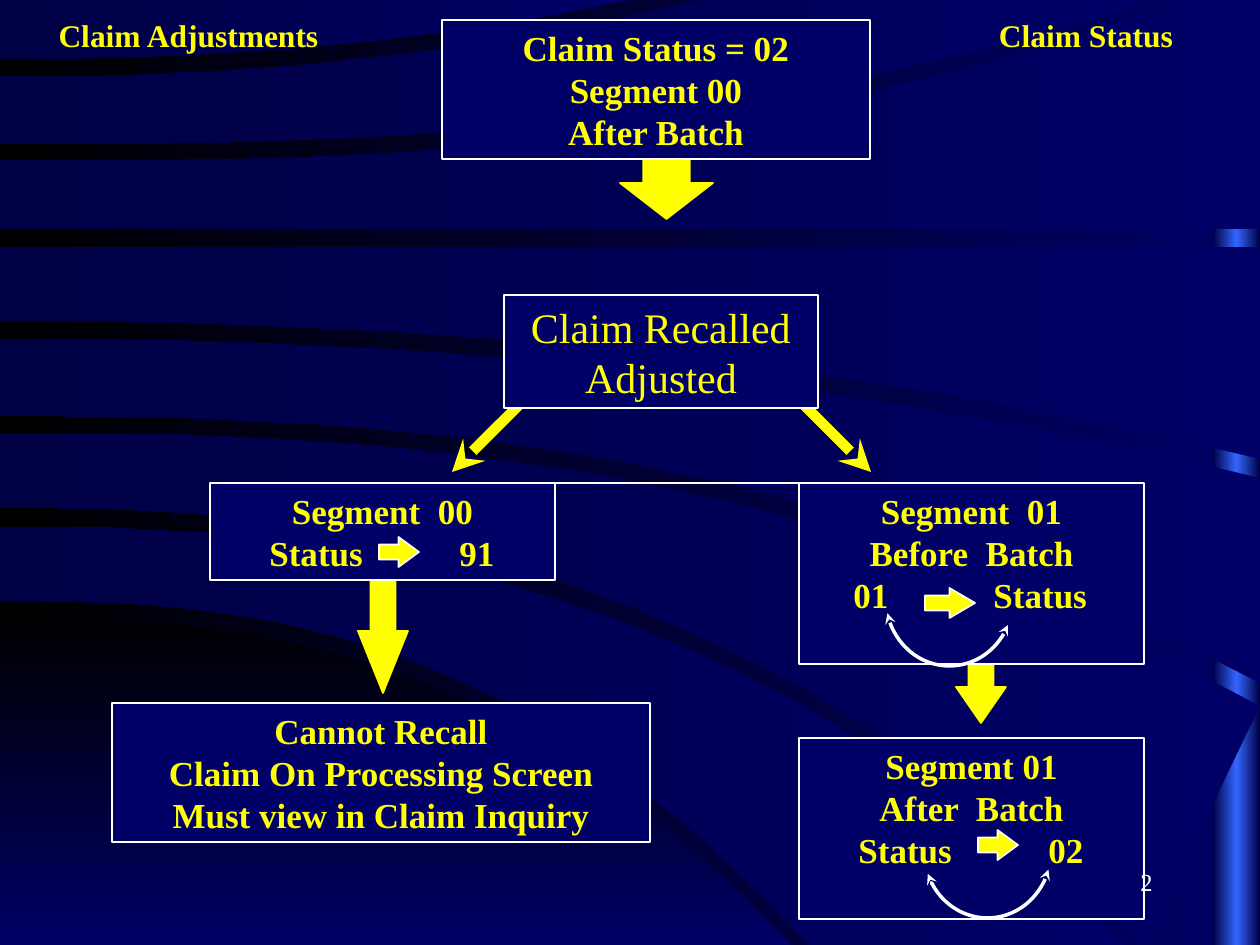
from copy import deepcopy
from dataclasses import dataclass

from lxml import etree
from pptx import Presentation
from pptx.dml.color import RGBColor
from pptx.enum.shapes import MSO_CONNECTOR, MSO_SHAPE
from pptx.enum.text import MSO_ANCHOR, PP_ALIGN
from pptx.oxml.ns import qn
from pptx.util import Pt

EMU_PER_PX = 914400 / 126
RECTANGLE, ARC = MSO_SHAPE.RECTANGLE, MSO_SHAPE.ARC
DOWN, RIGHT = MSO_SHAPE.DOWN_ARROW, MSO_SHAPE.RIGHT_ARROW
STRAIGHT = MSO_CONNECTOR.STRAIGHT
ALIGN_LEFT, ALIGN_CENTER, ALIGN_RIGHT = PP_ALIGN.LEFT, PP_ALIGN.CENTER, PP_ALIGN.RIGHT
TOP = MSO_ANCHOR.TOP

WIDTH, HEIGHT = 1260, 945
FONT = "Times New Roman"
NAVY, DARK_NAVY, BLUE, BLACK = "000066", "000044", "3366FF", "000000"
YELLOW, WHITE = "FFFF00", "FFFFFF"
CURVE_STEPS = 20

Frame = tuple[int, int, int, int]


@dataclass
class Edge:
    """A curve from the left side of the page, flat at first and then bending away."""
    start_y: int
    end_x: int
    end_y: int
    power: float = 1

    def points(self) -> list[tuple[int, int]]:
        steps = [step / CURVE_STEPS for step in range(CURVE_STEPS + 1)]
        rise = self.end_y - self.start_y
        return [(round(self.end_x * t), max(0, round(self.start_y + rise * t ** self.power)))
                for t in steps]


@dataclass
class FlowBox:
    frame: Frame
    lines: list[str]
    tabs: tuple[int, ...] = ()
    size: int = 20
    bold: bool = True


@dataclass
class BlockArrow:
    kind: int
    frame: Frame
    head: float
    line: str


@dataclass
class SwapArc:
    frame: Frame
    start: int
    end: int


HILL = (Edge(619, 791, HEIGHT, 2.6), Edge(HEIGHT, 791, HEIGHT))
BANDS = [
    (Edge(527, 1125, HEIGHT, 2.5), Edge(601, 809, HEIGHT, 2.6)),
    (Edge(433, WIDTH, 706, 2.5), Edge(508, 1145, HEIGHT, 2.5)),
    (Edge(339, WIDTH, 478, 2.2), Edge(416, WIDTH, 683, 2.5)),
    (Edge(247, WIDTH, 247), Edge(321, WIDTH, 459, 2.2)),
    (Edge(161, WIDTH, -28, 2.7), Edge(229, WIDTH, 229)),
    (Edge(77, 701, 0, 2.2), Edge(144, 1155, 0, 2.6)),
    (Edge(0, 631, 0), Edge(59, 631, 0, 2.2)),
]
BOXES = [
    FlowBox((442, 20, 428, 139), ["Claim Status = 02", "Segment 00", "After Batch"]),
    FlowBox((504, 295, 314, 113), ["Claim Recalled", "Adjusted"], size=24, bold=False),
    FlowBox((210, 483, 345, 97), ["Segment  00", "\tStatus\t91"], (47, 237)),
    FlowBox((799, 483, 345, 181), ["Segment  01", "Before  Batch", "\t01\tStatus"], (42, 182)),
    FlowBox((799, 738, 345, 181), ["Segment 01", "After  Batch", "\tStatus\t02"], (47, 237)),
    FlowBox((112, 703, 538, 139),
            ["Cannot Recall", "Claim On Processing Screen", "Must view in Claim Inquiry"]),
]
STEP_ARROWS = [
    BlockArrow(DOWN, (620, 147, 93, 72), 0.5, YELLOW),
    BlockArrow(DOWN, (956, 651, 50, 72), 0.72, YELLOW),
    BlockArrow(DOWN, (358, 568, 50, 125), 1.24, YELLOW),
]
STATUS_ARROWS = [
    BlockArrow(RIGHT, (379, 537, 40, 30), 0.68, WHITE),
    BlockArrow(RIGHT, (925, 588, 50, 30), 0.85, WHITE),
    BlockArrow(RIGHT, (978, 830, 40, 30), 0.68, WHITE),
]
SWAP_ARCS = [SwapArc((886, 532, 127, 134), 24, 167), SwapArc((924, 784, 127, 134), 17, 159)]


def px(value: float) -> int:
    return round(value * EMU_PER_PX)


def rgb(value: str) -> RGBColor:
    return RGBColor.from_string(value)


def paint_gradient(fill, colors: list[str], angle: int) -> None:
    """Spread the colours evenly; the angle runs clockwise from left-to-right."""
    fill.gradient()
    fill.gradient_angle = (360 - angle) % 360
    first = fill.gradient_stops[0]._gs
    for _ in colors[2:]:
        first.getparent().append(deepcopy(first))
    for index, (stop, color) in enumerate(zip(fill.gradient_stops, colors)):
        stop.color.rgb = rgb(color)
        stop.position = index / (len(colors) - 1)


def set_line(line, color: str, width: float, *ends: str) -> None:
    """Format a line; ends lists headEnd and tailEnd, in that order, for stealth heads."""
    line.color.rgb = rgb(color)
    line.width = Pt(width)
    for end in ends:
        etree.SubElement(line._get_or_add_ln(), qn(f"a:{end}"), type="stealth")


def add_preset(page, kind: int, frame: Frame):
    shape = page.shapes.add_shape(kind, *map(px, frame))
    shape.shadow.inherit = False
    return shape


def add_band(page, edges: tuple[Edge, Edge], colors: list[str], angle: int) -> None:
    upper, lower = edges
    outline = upper.points() + lower.points()[::-1]
    builder = page.shapes.build_freeform(*outline[0], scale=EMU_PER_PX)
    builder.add_line_segments(outline[1:], close=True)
    band = builder.convert_to_shape()
    band.shadow.inherit = False
    paint_gradient(band.fill, colors, angle)
    band.line.fill.background()


def add_line(page, start: tuple[int, int], end: tuple[int, int], color: str, width: float,
             *ends: str) -> None:
    line = page.shapes.add_connector(STRAIGHT, *map(px, start + end))
    set_line(line.line, color, width, *ends)
    etree.SubElement(line._element.spPr, qn("a:effectLst"))


def write(shape, lines: list[str], *, size: int, color: str = YELLOW, bold: bool = True,
          align=ALIGN_CENTER, tabs: tuple[int, ...] = ()) -> None:
    """Write one paragraph per line; a line holding tabs is left-aligned to the tab stops."""
    frame = shape.text_frame
    frame.word_wrap = True
    frame.vertical_anchor = TOP
    for index, text in enumerate(lines):
        para = frame.paragraphs[0] if index == 0 else frame.add_paragraph()
        para.alignment = ALIGN_LEFT if "\t" in text else align
        if "\t" in text:
            stops = etree.SubElement(para._p.get_or_add_pPr(), qn("a:tabLst"))
            for tab in tabs:
                etree.SubElement(stops, qn("a:tab"), pos=str(px(tab)), algn="l")
        span = para.add_run()
        span.text = text
        span.font.name, span.font.size, span.font.bold = FONT, Pt(size), bold
        span.font.color.rgb = rgb(color)


def add_block_arrow(page, arrow: BlockArrow) -> None:
    shape = add_preset(page, arrow.kind, arrow.frame)
    shape.adjustments[0], shape.adjustments[1] = 0.5, arrow.head
    shape.fill.solid()
    shape.fill.fore_color.rgb = rgb(YELLOW)
    set_line(shape.line, arrow.line, 1)


def add_flow_box(page, box: FlowBox) -> None:
    shape = add_preset(page, RECTANGLE, box.frame)
    shape.fill.solid()
    shape.fill.fore_color.rgb = rgb(NAVY)
    set_line(shape.line, WHITE, 1)
    write(shape, box.lines, size=box.size, bold=box.bold, tabs=box.tabs)


def add_swap_arc(page, arc: SwapArc) -> None:
    shape = add_preset(page, ARC, arc.frame)
    # Angles are stored in 60000ths of a degree, adjustments in 100000ths.
    shape.adjustments[0], shape.adjustments[1] = arc.start * 0.6, arc.end * 0.6
    shape.fill.background()
    set_line(shape.line, WHITE, 2, "headEnd", "tailEnd")


def add_background(page) -> None:
    paint_gradient(page.background.fill, [NAVY, BLACK], 180)
    stripe = add_preset(page, RECTANGLE, (1213, 0, 47, HEIGHT))
    paint_gradient(stripe.fill, [DARK_NAVY, BLUE, DARK_NAVY], 180)
    stripe.line.fill.background()
    add_band(page, HILL, [BLACK, NAVY], 90)
    for edges in BANDS:
        add_band(page, edges, [NAVY, DARK_NAVY], 180)


def main() -> None:
    deck = Presentation()
    deck.slide_width, deck.slide_height = px(WIDTH), px(HEIGHT)
    page = deck.slides.add_slide(deck.slide_layouts[5])
    add_background(page)
    for arrow in STEP_ARROWS:
        add_block_arrow(page, arrow)
    add_line(page, (546, 378), (452, 472), YELLOW, 6, "tailEnd")
    add_line(page, (777, 378), (871, 472), YELLOW, 6, "tailEnd")
    add_line(page, (284, 483), (1071, 483), WHITE, 1)
    for box in BOXES:
        add_flow_box(page, box)
    for arrow in STATUS_ARROWS:
        add_block_arrow(page, arrow)
    for arc in SWAP_ARCS:
        add_swap_arc(page, arc)

    title = page.shapes.title
    title.left, title.top, title.width, title.height = map(px, (20, 10, 337, 50))
    page.shapes._spTree.append(title._element)  # in front of the background bands
    write(title, ["Claim Adjustments"], size=18)
    topic = page.shapes.add_textbox(*map(px, (955, 10, 262, 50)))
    write(topic, ["Claim Status"], size=18)
    number = page.shapes.add_textbox(*map(px, (903, 861, 262, 63)))
    write(number, ["2"], size=14, color=WHITE, bold=False, align=ALIGN_RIGHT)
    deck.save("out.pptx")


if __name__ == "__main__":
    main()
